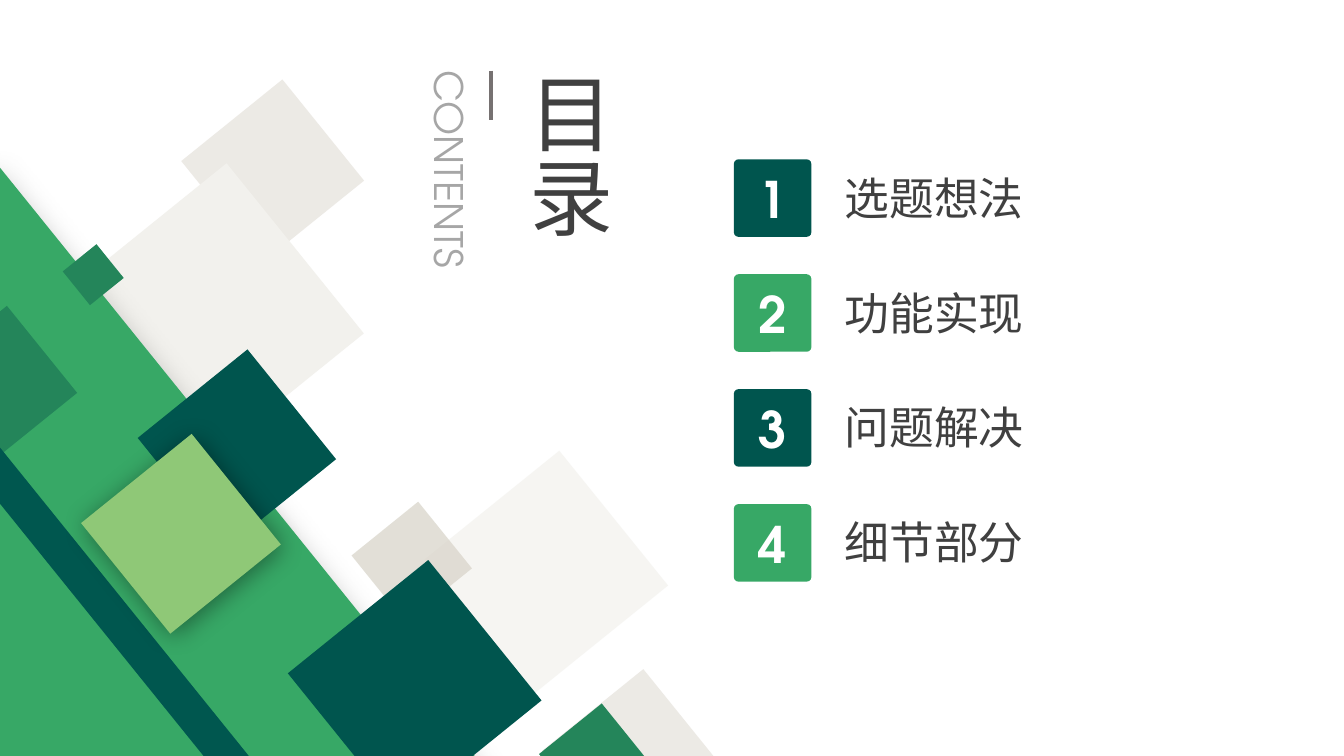
from dataclasses import dataclass
from typing import Optional

from lxml import etree
from pptx import Presentation
from pptx import util as u
from pptx.dml.color import RGBColor
from pptx.enum import shapes, text
from pptx.oxml import ns


@dataclass(frozen=True)
class Theme:
    deep: str = "00554E"
    stripe: str = "00574F"
    forest: str = "24855A"
    green: str = "37A866"
    lime: str = "8FC877"
    stone: str = "E7E4DD"
    mist: str = "F2F1ED"
    sand: str = "D8D4C9"
    white: str = "FFFFFF"
    ink: str = "404040"
    muted: str = "A6A6A6"
    rule: str = "767171"
    latin: str = "TeX Gyre Adventor"
    chinese: str = "Noto Sans CJK SC"
    title_size: float = 60
    number_size: float = 36
    label_size: float = 32
    subtitle_size: float = 28


@dataclass(frozen=True)
class Shadow:
    blur: float
    distance: float
    angle: float
    opacity: float = 40


@dataclass(frozen=True)
class Tile:
    left: float
    top: float
    width: float
    color: str
    height: Optional[float] = None  # square when not given
    opacity: Optional[float] = None
    shadow: Optional[Shadow] = None


@dataclass(frozen=True)
class Style:
    size: float
    face: str
    color: str
    bold: bool = False


THEME = Theme()
TILT = 231.1
TILES = [
    Tile(148.3, 75.6, 92.9, THEME.stone, opacity=76),
    Tile(72, 148.3, 156.2, THEME.mist),
    Tile(406.1, 496.8, 92.9, THEME.stone, opacity=76),
    Tile(328.3, 347, 123.8, THEME.mist, opacity=67),
    Tile(263.5, 370.8, 61.2, THEME.sand, opacity=73),
    Tile(-282.2, 337, 748.1, THEME.green, height=349.2, shadow=Shadow(27, 16, 90)),
    Tile(396.7, 514.1, 57.6, THEME.forest),
    Tile(118.8, 270, 100.8, THEME.deep),
    Tile(-41, 234.7, 79.9, THEME.forest),
    Tile(51.1, 180.7, 31, THEME.forest),
    Tile(-273.6, 473, 782.6, THEME.stripe, height=25.2),
    Tile(78.5, 330.5, 101.5, THEME.lime, shadow=Shadow(18, 3, 45)),
    Tile(231.8, 426.2, 128.9, THEME.deep),
]

TOPICS = ["选题想法", "功能实现", "问题解决", "细节部分"]
BADGE_LEFT, BADGE_TOP, BADGE_SIZE = 524.2, 113.8, 55.4
LABEL_LEFT, LABEL_TOP, LABEL_WIDTH, LABEL_HEIGHT = 596.2, 118.1, 293, 46.1
TOPIC_STEP = 82.1

TITLE = Style(THEME.title_size, THEME.chinese, THEME.ink)
SUBTITLE = Style(THEME.subtitle_size, THEME.latin, THEME.muted)
NUMBER = Style(THEME.number_size, THEME.latin, THEME.white, bold=True)
LABEL = Style(THEME.label_size, THEME.chinese, THEME.ink)


def box(left: float, top: float, width: float, height: float) -> list:
    return [u.Pt(value) for value in (left, top, width, height)]


def paint(shape, color: str) -> None:
    shape.shadow.inherit = False
    shape.fill.solid()
    shape.fill.fore_color.rgb = RGBColor.from_string(color)
    shape.line.fill.background()


def add_alpha(color_element, percent: float) -> None:
    etree.SubElement(color_element, ns.qn("a:alpha"), val=str(round(percent * 1000)))


def add_shadow(shape, shadow: Shadow) -> None:
    effects = shape._element.spPr.find(ns.qn("a:effectLst"))
    outer = etree.SubElement(
        effects, ns.qn("a:outerShdw"),
        blurRad=str(u.Pt(shadow.blur)), dist=str(u.Pt(shadow.distance)),
        dir=str(round(shadow.angle * 60000)), algn="ctr", rotWithShape="0")
    add_alpha(etree.SubElement(outer, ns.qn("a:srgbClr"), val="000000"), shadow.opacity)


def add_tile(slide, tile: Tile) -> None:
    height = tile.width if tile.height is None else tile.height
    square = slide.shapes.add_shape(
        shapes.MSO_SHAPE.RECTANGLE, *box(tile.left, tile.top, tile.width, height))
    square.rotation = TILT
    paint(square, tile.color)
    if tile.opacity is not None:
        add_alpha(square._element.spPr.find(".//" + ns.qn("a:srgbClr")), tile.opacity)
    if tile.shadow:
        add_shadow(square, tile.shadow)


def write(shape, words: str, style: Style) -> None:
    paragraph = shape.text_frame.paragraphs[0]
    paragraph.text = words
    font = paragraph.font
    font.size, font.name, font.bold = u.Pt(style.size), style.face, style.bold
    font.color.rgb = RGBColor.from_string(style.color)
    defaults = paragraph._p.pPr.find(ns.qn("a:defRPr"))
    etree.SubElement(defaults, ns.qn("a:ea"), typeface=style.face)


def add_text(slide, place: list, words: str, style: Style):
    textbox = slide.shapes.add_textbox(*place)
    textbox.text_frame.word_wrap = True
    textbox.text_frame.auto_size = text.MSO_AUTO_SIZE.SHAPE_TO_FIT_TEXT
    write(textbox, words, style)
    return textbox


def add_badge(slide, number: int, top: float) -> None:
    badge = slide.shapes.add_shape(
        shapes.MSO_SHAPE.ROUNDED_RECTANGLE, *box(BADGE_LEFT, top, BADGE_SIZE, BADGE_SIZE))
    badge.adjustments[0] = 0.06
    paint(badge, THEME.deep if number % 2 else THEME.green)
    badge.text_frame.vertical_anchor = text.MSO_ANCHOR.MIDDLE
    write(badge, str(number), NUMBER)
    badge.text_frame.paragraphs[0].alignment = text.PP_ALIGN.CENTER


def add_heading(slide) -> None:
    subtitle = add_text(slide, box(236.9, 107.3, 168.5, 41), "CONTENTS", SUBTITLE)
    subtitle.rotation = 90
    title = add_text(slide, box(358.6, 43.9, 87.1, 140.4), "目录", TITLE)
    title.text_frame._txBody.bodyPr.set("vert", "eaVert")
    rule = slide.shapes.add_connector(
        shapes.MSO_CONNECTOR.STRAIGHT, *box(350.6, 50.4, 350.6, 85.7))
    rule.line.color.rgb = RGBColor.from_string(THEME.rule)
    rule.line.width = u.Pt(3)
    etree.SubElement(rule._element.spPr, ns.qn("a:effectLst"))


def main() -> None:
    deck = Presentation()
    deck.slide_width, deck.slide_height = u.Pt(960), u.Pt(540)
    slide = deck.slides.add_slide(deck.slide_layouts[6])

    # Tilted tiles on the left
    for tile in TILES:
        add_tile(slide, tile)

    # Vertical heading
    add_heading(slide)

    # Numbered topics
    for index, topic in enumerate(TOPICS):
        offset = index * TOPIC_STEP
        add_badge(slide, index + 1, BADGE_TOP + offset)
        place = box(LABEL_LEFT, LABEL_TOP + offset, LABEL_WIDTH, LABEL_HEIGHT)
        add_text(slide, place, topic, LABEL)

    deck.save("out.pptx")


if __name__ == "__main__":
    main()
